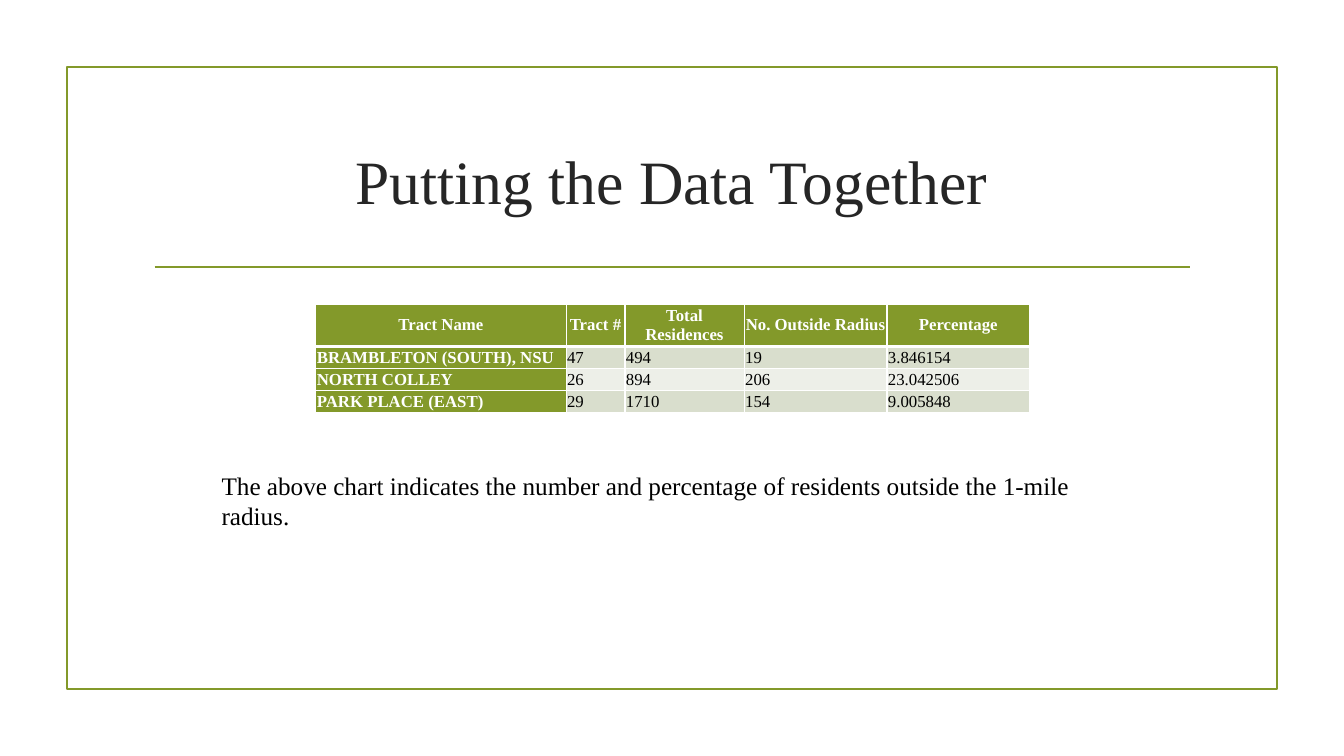
import pptx
import pptx.util
import pptx.dml.color
import pptx.enum.shapes
import pptx.enum.text
import pptx.oxml.ns
from lxml import etree

COLS, ROWS = 160, 90
FONT = "Times New Roman"
GREEN, WHITE, BLACK, DARK = "83992A", "FFFFFF", "000000", "262626"
BANDS = ("D9DECD", "EDEFE8")
HEAD = ("Tract Name", "Tract #", "Total Residences", "No. Outside Radius", "Percentage")
TRACTS = (
    ("BRAMBLETON (SOUTH), NSU", "47", "494", "19", "3.846154"),
    ("NORTH COLLEY", "26", "894", "206", "23.042506"),
    ("PARK PLACE (EAST)", "29", "1710", "154", "9.005848"),
)
WIDTHS = (29.8, 7, 14.2, 17, 17)
HIGH, LOW = 4.7, 2.5
ALIGN = pptx.enum.text.PP_ALIGN
ANCHOR = pptx.enum.text.MSO_ANCHOR


def grid(*cells):
    """Turn grid cells of a twelfth of an inch into lengths."""
    return [pptx.util.Inches(cell / 12) for cell in cells]


def color(code):
    return pptx.dml.color.RGBColor.from_string(code)


def inside(box, left, top, width, height):
    return grid(box[0] + left, box[1] + top, width, height)


def outline(line):
    line.color.rgb = color(GREEN)
    line.width = pptx.util.Pt(1.25)


def write(frame, text, size, ink, align=ALIGN.LEFT, bold=False):
    frame.text = text
    para = frame.paragraphs[0]
    para.alignment = align
    font = para.runs[0].font
    font.name, font.size, font.bold = FONT, pptx.util.Pt(size), bold
    font.color.rgb = color(ink)


def border(cell, side, width):
    tag = pptx.oxml.ns.qn
    line = etree.SubElement(cell._tc.get_or_add_tcPr(), tag(f"a:ln{side}"),
                            w=str(pptx.util.Pt(width)))
    fill = etree.SubElement(line, tag("a:solidFill"))
    etree.SubElement(fill, tag("a:srgbClr"), val=WHITE)


# Green frame around the page and rule below the title
def draw_frame(slide, box):
    frame = slide.shapes.add_shape(
        pptx.enum.shapes.MSO_SHAPE.RECTANGLE, *grid(*box))
    frame.shadow.inherit = False
    frame.fill.background()
    outline(frame.line)
    left, top, width, _ = inside(box, 10.4, 23.8, 123.3, 0)
    rule = slide.shapes.add_connector(
        pptx.enum.shapes.MSO_CONNECTOR.STRAIGHT, left, top, left + width, top)
    etree.SubElement(rule._element.spPr, pptx.oxml.ns.qn("a:effectLst"))
    outline(rule.line)


# Title and caption
def draw_text(slide, area, text, size, ink, align, anchor):
    frame = slide.shapes.add_textbox(*area).text_frame
    frame.word_wrap = True
    frame.vertical_anchor = anchor
    write(frame, text, size, ink, align)


# Table of tracts: green head row and first column, banded values
def draw_table(slide, box, left, top):
    rows = (HEAD, *TRACTS)
    highs = (HIGH,) + (LOW,) * len(TRACTS)
    area = inside(box, left, top, sum(WIDTHS), sum(highs))
    table = slide.shapes.add_table(len(rows), len(HEAD), *area).table
    for col, width in zip(table.columns, grid(*WIDTHS)):
        col.width = width
    for row, high in zip(table.rows, grid(*highs)):
        row.height = high
    for r, row in enumerate(rows):
        for c, text in enumerate(row):
            cell = table.cell(r, c)
            strong = r == 0 or c == 0
            cell.margin_left = cell.margin_right = pptx.util.Inches(0.01)
            cell.margin_top = cell.margin_bottom = pptx.util.Inches(0.01)
            cell.vertical_anchor = ANCHOR.MIDDLE
            write(cell.text_frame, text, 12, WHITE if strong else BLACK,
                  ALIGN.LEFT if r else ALIGN.CENTER, strong)
            for side in "LRTB":
                thick = (r == 0 and side == "B") or (r == 1 and side == "T")
                border(cell, side, 3 if thick else 1)
            cell.fill.solid()
            cell.fill.fore_color.rgb = color(GREEN if strong else BANDS[(r - 1) % 2])


def draw_slide(slide, box):
    draw_frame(slide, box)
    draw_text(slide, inside(box, 9, 4.8, 126, 17.2), "Putting the Data Together",
              44, DARK, ALIGN.CENTER, ANCHOR.MIDDLE)
    draw_table(slide, box, 29.6, 28.2)
    draw_text(slide, inside(box, 17.2, 47.4, 109.7, 4.8),
              "The above chart indicates the number and percentage of residents "
              "outside the 1-mile radius.", 18, BLACK, ALIGN.LEFT, ANCHOR.TOP)


def main():
    deck = pptx.Presentation()
    deck.slide_width, deck.slide_height = grid(COLS, ROWS)
    slide = deck.slides.add_slide(deck.slide_layouts[6])
    draw_slide(slide, (8, 8, 144, 74))
    deck.save("out.pptx")


if __name__ == "__main__":
    main()
